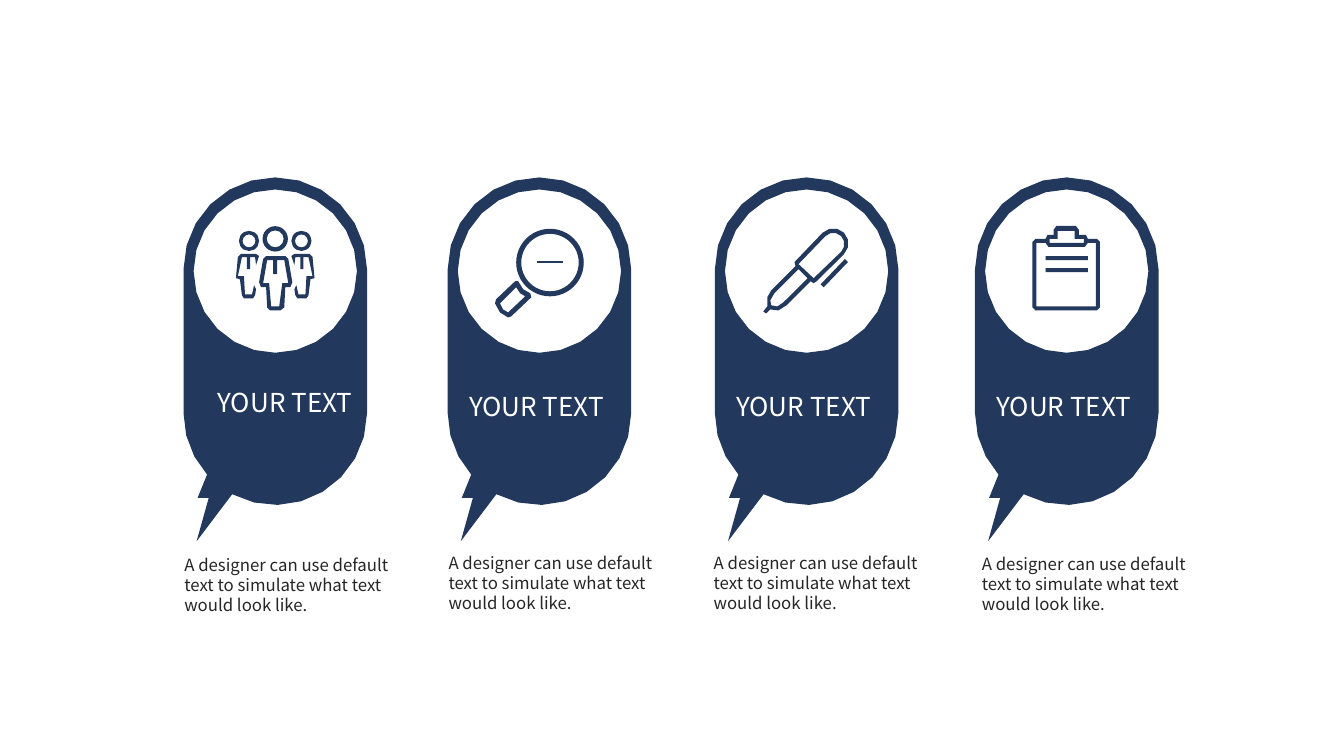
from math import cos, radians, sin

from pptx import Presentation
from pptx.dml.color import RGBColor
from pptx.enum import shapes, text
from pptx.util import Inches, Pt

NAVY = RGBColor(0x22, 0x38, 0x5C)
WHITE = RGBColor(0xFF, 0xFF, 0xFF)
CHARCOAL = RGBColor(0x26, 0x26, 0x26)
FONT = "Noto Sans CJK SC"


def arc(center_x, center_y, radius, start=0, end=360):
    """Points along an arc, in inches; angles run clockwise from the right."""
    steps = max(2, round((end - start) / (15 if radius > 0.5 else 30)))
    angles = [radians(start + (end - start) * i / steps) for i in range(steps + 1)]
    return [(center_x + radius * cos(a), center_y + radius * sin(a)) for a in angles]


def draw(target, *contours):
    """Draw one outline; inner contours become holes."""
    contours = [[(Inches(x), Inches(y)) for x, y in points] for points in contours]
    builder = target.build_freeform(*contours[0][0], scale=1.0)
    builder.add_line_segments(contours[0][1:], close=True)
    for points in contours[1:]:
        builder.move_to(*points[0])
        builder.add_line_segments(points[1:], close=True)
    return builder.convert_to_shape()


presentation = Presentation()
presentation.slide_width = Inches(13.33)
presentation.slide_height = Inches(7.5)
slide = presentation.slides.add_slide(presentation.slide_layouts[6])
navy_shapes = []

# Speech balloons, each with a round window and a lightning tail
for left in (1.82, 4.44, 7.09, 9.67):
    middle = left + 0.91
    tail = [(left + 0.13, 5.37), (left + 0.25, 4.94), (left + 0.14, 4.94)]
    body = (arc(middle, 2.67, 0.91, 180, 360) + arc(middle, 4.1, 0.91, 0, 118)
            + tail + arc(middle, 4.1, 0.91, 138, 180))
    navy_shapes.append(draw(slide.shapes, body, arc(middle, 2.69, 0.81)))

# Headings and descriptions: left, top, width, height, wording, size, colour, alignment
LEFT, CENTER = text.PP_ALIGN.LEFT, text.PP_ALIGN.CENTER
boxes = [(2.06, 3.78, 1.63, 0.42, "YOUR TEXT", 18.6, WHITE, LEFT)]
for left in (4.08, 6.73, 9.31):
    boxes.append((left, 3.82, 2.54, 0.42, "YOUR TEXT ", 18.6, WHITE, CENTER))
for left, top in ((1.73, 5.45), (4.35, 5.43), (6.98, 5.43), (9.64, 5.44)):
    boxes.append((left, top, 2.29, 0.71,
                  "A designer can use default text to simulate what text would look like.",
                  12, CHARCOAL, LEFT))
for left, top, width, height, wording, size, color, alignment in boxes:
    box = slide.shapes.add_textbox(Inches(left), Inches(top), Inches(width), Inches(height))
    box.text_frame.word_wrap = True
    box.text_frame.text = wording
    paragraph = box.text_frame.paragraphs[0]
    paragraph.alignment = alignment
    font = paragraph.runs[0].font
    font.name, font.size, font.color.rgb = FONT, Pt(size), color

# One group for each icon
people, magnifier, pen, clipboard = [slide.shapes.add_group_shape().shapes for _ in range(4)]

# Rings: three heads and the lens
for icon, center_x, center_y, radius, thickness in (
        (people, 2.73, 2.37, 0.126, 0.042), (people, 2.47, 2.39, 0.1, 0.036),
        (people, 2.99, 2.39, 0.1, 0.036), (magnifier, 5.455, 2.605, 0.335, 0.05)):
    ring = icon.add_shape(shapes.MSO_SHAPE.DONUT, Inches(center_x - radius),
                          Inches(center_y - radius), Inches(2 * radius), Inches(2 * radius))
    ring.adjustments[0] = thickness / (2 * radius)
    navy_shapes.append(ring)

# People: the central body between two mirrored ones
navy_shapes.append(draw(
    people,
    [(2.64, 2.54), (2.83, 2.54), (2.86, 2.57), (2.9, 2.8), (2.88, 2.85), (2.83, 2.85),
     (2.82, 3.05), (2.78, 3.08), (2.68, 3.08), (2.65, 3.05), (2.64, 2.85), (2.59, 2.85),
     (2.57, 2.8), (2.61, 2.57)],
    [(2.8, 2.81), (2.77, 3.04), (2.69, 3.04), (2.67, 2.81), (2.61, 2.81), (2.65, 2.58),
     (2.71, 2.58), (2.71, 2.72), (2.75, 2.72), (2.75, 2.58), (2.82, 2.58), (2.86, 2.81)]))
side_body = [
    (3.1, 2.55), (3.07, 2.52), (2.92, 2.52), (2.89, 2.54), (2.92, 2.63), (2.93, 2.55),
    (2.98, 2.55), (2.98, 2.67), (3.01, 2.67), (3.01, 2.55), (3.06, 2.55), (3.1, 2.74),
    (3.04, 2.74), (3.03, 2.92), (2.96, 2.92), (2.94, 2.83), (2.92, 2.87), (2.93, 2.93),
    (2.95, 2.96), (3.04, 2.96), (3.06, 2.93), (3.08, 2.77), (3.12, 2.76)]
for direction in (1, -1):
    mirrored = [(2.73 + direction * (x - 2.73), y) for x, y in side_body]
    navy_shapes.append(draw(people, mirrored))

# Magnifier: handle and minus sign
navy_shapes.append(draw(
    magnifier,
    [(5.04, 3.15), (4.96, 3.1), (4.91, 3.01), (4.92, 2.97), (5.11, 2.79), (5.14, 2.79),
     (5.19, 2.87), (5.26, 2.91), (5.27, 2.95), (5.07, 3.14)],
    [(4.96, 3.01), (4.99, 3.07), (5.04, 3.1), (5.21, 2.94), (5.16, 2.91), (5.12, 2.85)]))
navy_shapes.append(draw(magnifier, [(5.33, 2.59), (5.58, 2.59), (5.58, 2.61), (5.33, 2.61)]))

# Pen: barrel with nib, then the clip
navy_shapes.append(draw(
    pen,
    arc(8.265, 2.415, 0.15, -135, 45)
    + [(8.1, 2.79), (8.07, 2.81), (8.04, 2.79), (7.8, 3.03), (7.72, 3.08), (7.64, 3.07),
       (7.6, 3.11), (7.57, 3.09), (7.61, 3.04), (7.61, 2.95), (7.65, 2.88), (7.89, 2.64),
       (7.88, 2.6)],
    [(7.77, 3), (7.71, 3.04), (7.65, 3.03), (7.64, 2.98), (7.68, 2.91), (7.92, 2.67),
     (8.01, 2.76)],
    [(8.07, 2.76), (7.92, 2.62)] + arc(8.265, 2.42, 0.11, -135, 45)))
navy_shapes.append(draw(pen, [(8.38, 2.57), (8.41, 2.6), (8.17, 2.85), (8.14, 2.82)]))

# Clipboard: board with clip, then two written lines
navy_shapes.append(draw(
    clipboard,
    [(10.27, 2.37), (10.37, 2.37), (10.39, 2.33), (10.45, 2.33), (10.45, 2.28),
     (10.48, 2.24), (10.67, 2.24), (10.7, 2.28), (10.7, 2.33), (10.77, 2.33),
     (10.79, 2.37), (10.88, 2.37), (10.91, 2.4), (10.91, 3.05), (10.88, 3.08),
     (10.27, 3.08), (10.24, 3.05), (10.24, 2.4)],
    [(10.41, 2.37), (10.49, 2.37), (10.49, 2.29), (10.66, 2.29), (10.66, 2.37),
     (10.75, 2.37), (10.75, 2.41), (10.41, 2.41)],
    [(10.87, 3.04), (10.28, 3.04), (10.28, 2.41), (10.37, 2.41), (10.4, 2.45),
     (10.76, 2.45), (10.79, 2.41), (10.87, 2.41)]))
for top in (2.54, 2.66):
    navy_shapes.append(clipboard.add_shape(
        shapes.MSO_SHAPE.RECTANGLE, Inches(10.37), Inches(top), Inches(0.42), Inches(0.04)))

# Flat navy for every balloon and icon part
for shape in navy_shapes:
    shape.shadow.inherit = False
    shape.fill.solid()
    shape.fill.fore_color.rgb = NAVY
    shape.line.fill.background()

presentation.save("out.pptx")
